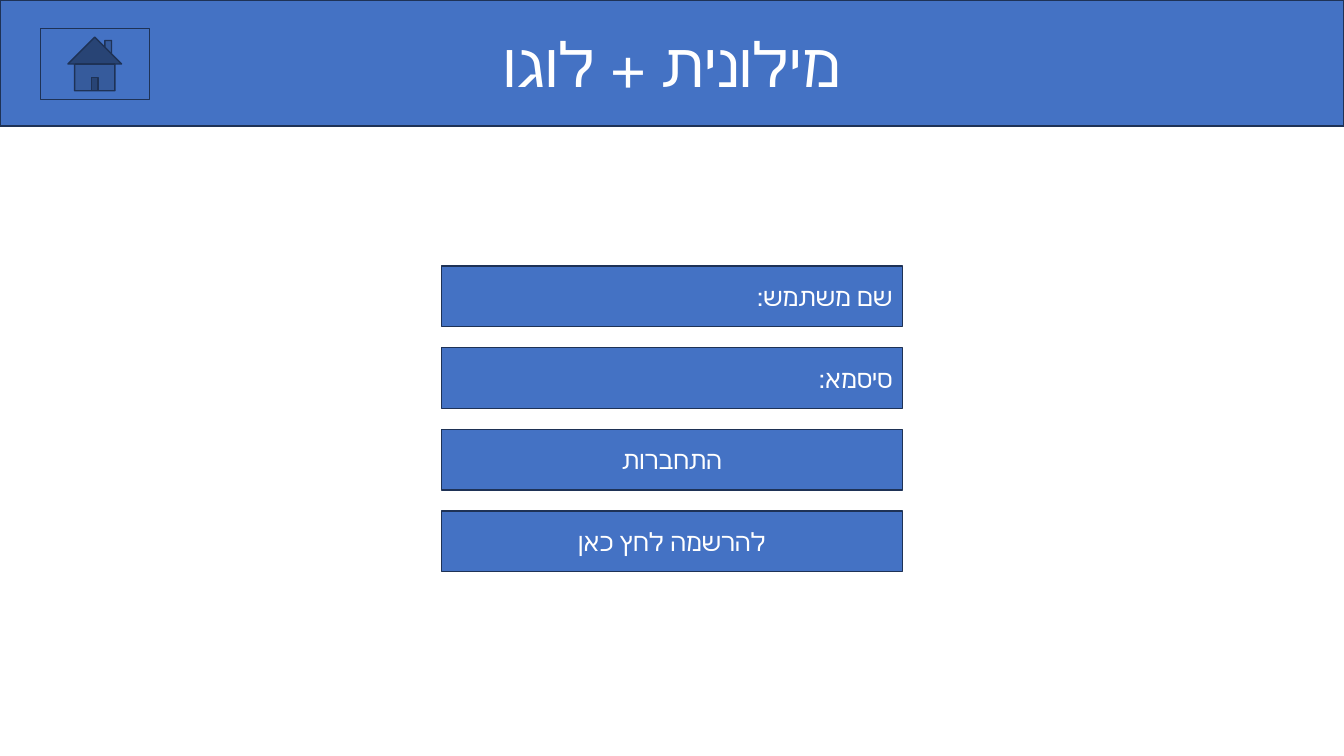
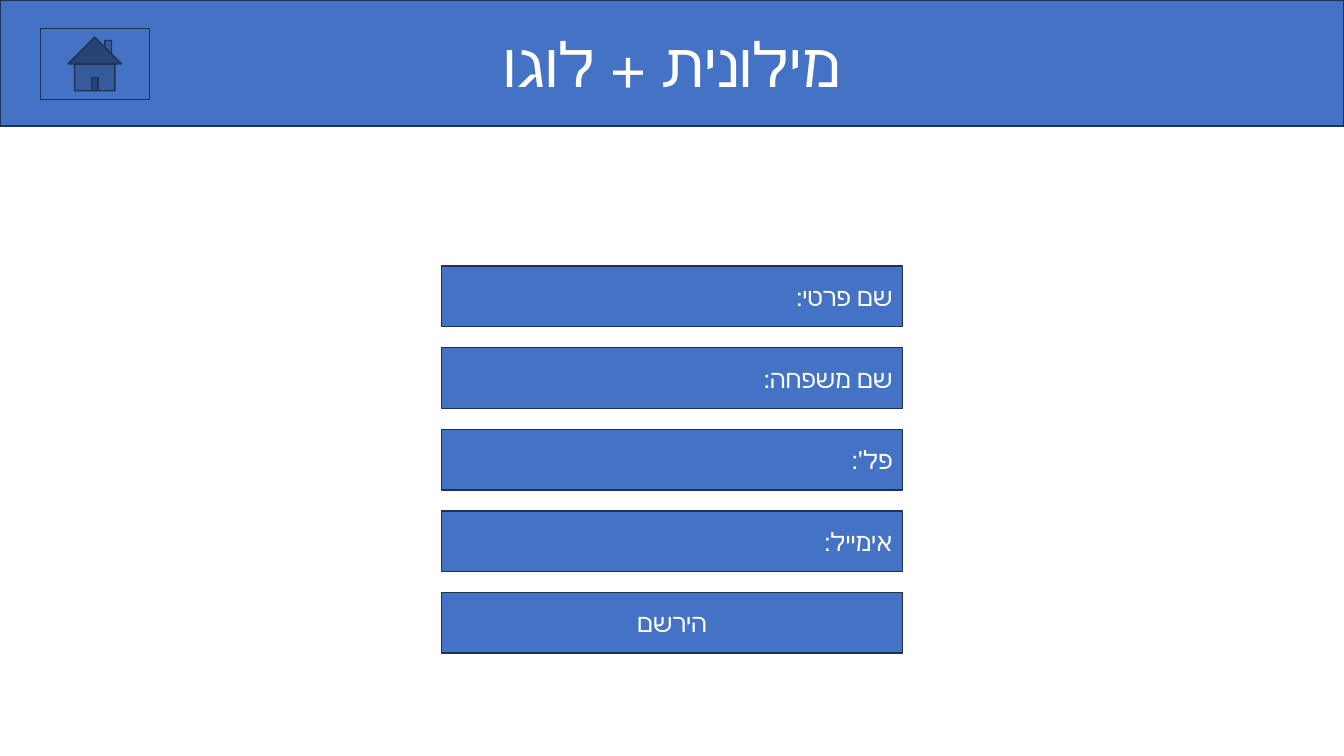
from pptx import Presentation
from pptx.dml.color import RGBColor as RGB
from pptx.enum.shapes import MSO_SHAPE as Kind
from pptx.enum.text import MSO_ANCHOR as Anchor, PP_ALIGN as Align
from pptx.util import Inches, Pt

HUES = {"fill": "4472C4", "edge": "1E3256", "text": "FFFFFF"}
FONT = "Calibri"
WIDE, HIGH = 13.33, 7.5
BAND = HIGH / 6
LEFT, TOP, STEP = 4.38, 2.64, 0.81
BOX_W, BOX_H = 4.57, 0.6
TITLE = "מילונית + לוגו"
FORMS = [
    [
        ("שם משתמש:", Align.RIGHT),
        ("סיסמא:", Align.RIGHT),
        ("התחברות", Align.CENTER),
        ("להרשמה לחץ כאן", Align.CENTER),
    ],
    [
        ("שם פרטי:", Align.RIGHT),
        ("שם משפחה:", Align.RIGHT),
        ("פל':", Align.RIGHT),
        ("אימייל:", Align.RIGHT),
        ("הירשם", Align.CENTER),
    ],
]


def add_box(slide, kind, x, y, w, h):
    box = slide.shapes.add_shape(kind, Inches(x), Inches(y), Inches(w), Inches(h))
    box.shadow.inherit = False
    box.fill.solid()
    box.fill.fore_color.rgb = RGB.from_string(HUES["fill"])
    box.line.color.rgb = RGB.from_string(HUES["edge"])
    box.line.width = Pt(1)
    return box


def add_label(box, text, size, align):
    frame = box.text_frame
    frame.word_wrap = True
    frame.vertical_anchor = Anchor.MIDDLE
    frame.text = text
    para = frame.paragraphs[0]
    para.alignment = align
    para._p.get_or_add_pPr().set("rtl", "1")
    font = para.runs[0].font
    font.name = FONT
    font.size = Pt(size)
    font.color.rgb = RGB.from_string(HUES["text"])


deck = Presentation()
deck.slide_width, deck.slide_height = Inches(WIDE), Inches(HIGH)

for form in FORMS:
    slide = deck.slides.add_slide(deck.slide_layouts[6])
    band = add_box(slide, Kind.RECTANGLE, 0, 0, WIDE, BAND)
    add_label(band, TITLE, 44, Align.CENTER)
    add_box(slide, Kind.ACTION_BUTTON_HOME, 0.4, 0.28, 1.08, 0.71)
    for row, (text, align) in enumerate(form):
        field = add_box(slide, Kind.ACTION_BUTTON_CUSTOM,
                        LEFT, TOP + row * STEP, BOX_W, BOX_H)
        add_label(field, text, 18, align)

deck.save("out.pptx")
